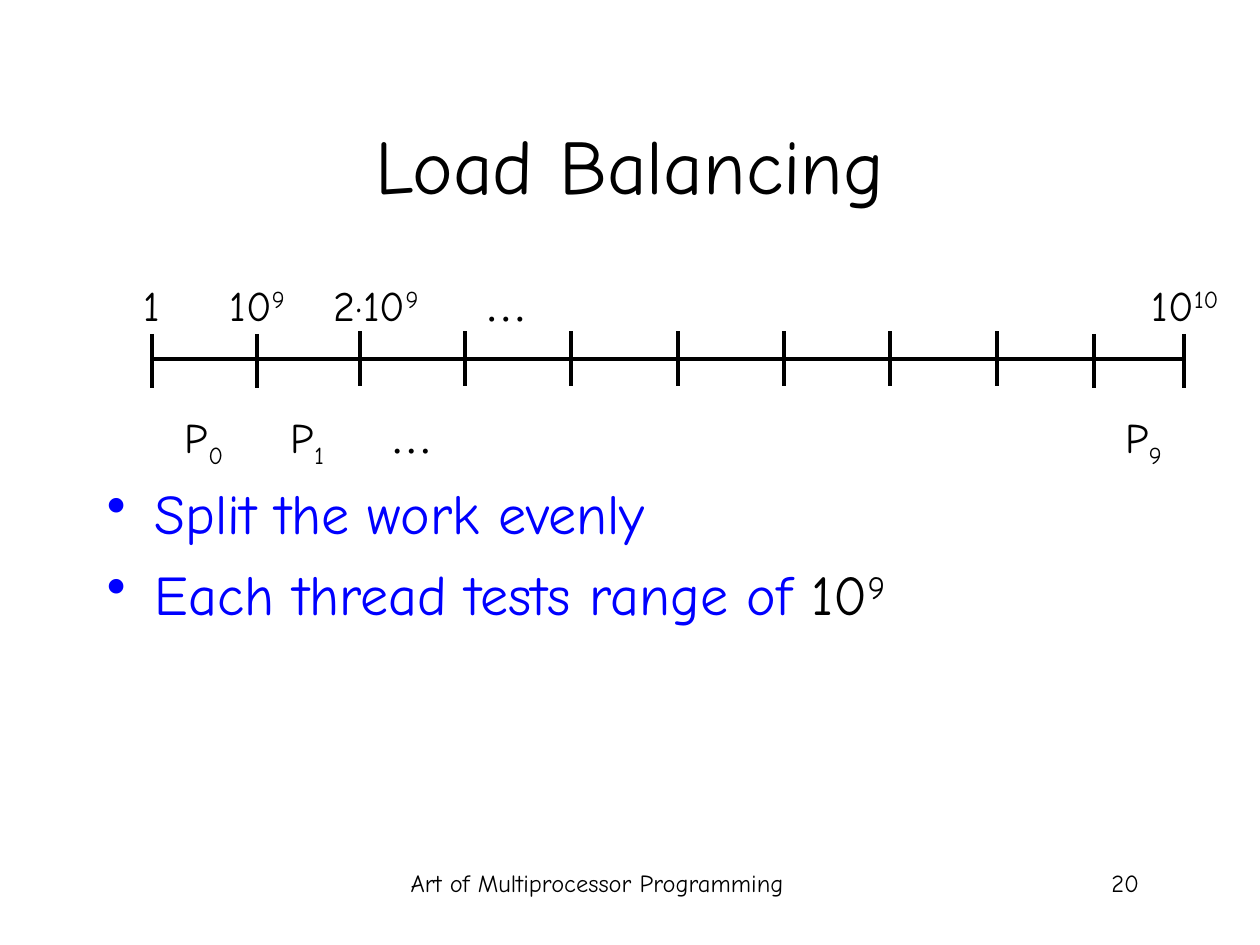
from lxml.etree import SubElement
from pptx import Presentation
from pptx.dml.color import RGBColor
from pptx.enum.shapes import MSO_CONNECTOR as Connector
from pptx.enum.text import MSO_ANCHOR as Anchor, MSO_AUTO_SIZE as AutoSize, PP_ALIGN as Align
from pptx.oxml.ns import qn
from pptx.util import Inches, Pt

COLORS = {"ink": "000000", "point": "0000FF"}
HAND, SERIF = "Comic Neue", "Times New Roman"
SUPER, SUB = 30000, -25000

prs = Presentation()
prs.slide_width, prs.slide_height = Inches(10), Inches(7.5)
slide = prs.slides.add_slide(prs.slide_layouts[6])
# The slide is a grid of 100 columns by 75 rows.
COL, ROW = prs.slide_width / 100, prs.slide_height / 75


def add_text(box, paragraphs, size, align=Align.LEFT, font=HAND, **frame_format):
    """Add a text box; each paragraph is a list of (text, color, baseline) runs."""
    left, top, width, height = box
    frame = slide.shapes.add_textbox(
        int(left * COL), int(top * ROW), int(width * COL), int(height * ROW)).text_frame
    for name, value in {"word_wrap": True, **frame_format}.items():
        setattr(frame, name, value)
    for index, runs in enumerate(paragraphs):
        paragraph = frame.add_paragraph() if index else frame.paragraphs[0]
        paragraph.alignment = align
        for text, color, baseline in runs:
            run = paragraph.add_run()
            run.text = text
            for name, value in {"name": font, "size": Pt(size)}.items():
                setattr(run.font, name, value)
            run.font.color.rgb = RGBColor.from_string(COLORS[color])
            if baseline:
                run._r.get_or_add_rPr().set("baseline", str(baseline))
    return frame


def add_line(x1, y1, x2, y2):
    line = slide.shapes.add_connector(
        Connector.STRAIGHT, int(x1 * COL), int(y1 * ROW), int(x2 * COL), int(y2 * ROW))
    line.line.width = Pt(2.25)
    line.line.color.rgb = RGBColor.from_string(COLORS["ink"])
    SubElement(line._element.spPr, qn("a:effectLst"))


# Footer and title
add_text((26, 68.4, 42.8, 5), [[("Art of Multiprocessor Programming", "ink", 0)]], 14, Align.CENTER)
add_text((70.6, 68.4, 20.8, 5), [[("20", "ink", 0)]], 14, Align.RIGHT)
add_text((7.5, 6.7, 85, 12.5), [[("Load Balancing", "ink", 0)]], 44, Align.CENTER,
         vertical_anchor=Anchor.MIDDLE)

# Bullet points
points = add_text((7.5, 37.5, 85, 29.2), [
    [("Split the work evenly", "point", 0)],
    [("Each thread tests range of ", "point", 0), ("10", "ink", 0), ("9", "ink", SUPER)],
], 32)
for index, point in enumerate(points.paragraphs):
    if index:
        point.space_before = Pt(8)
    properties = point._p.get_or_add_pPr()
    properties.set("marL", str(int(3.8 * COL)))
    properties.set("indent", str(int(-3.8 * COL)))
    bullet_color = SubElement(properties, qn("a:buClr"))
    SubElement(bullet_color, qn("a:srgbClr"), val=COLORS["point"])
    SubElement(properties, qn("a:buChar"), char="•")

# Number line: the ticks near both ends sit slightly lower
ticks = [12.1, 20.4, 28.6, 36.9, 45.3, 53.8, 62.2, 70.6, 79.1, 86.8, 94]
add_line(ticks[0], 28.5, ticks[-1], 28.5)
for index, x in enumerate(ticks):
    top = 26.5 if index in (0, 1, 9, 10) else 26.3
    add_line(x, top, x, top + 4.3)

# Range bounds above the line, threads below it: left, width, text, raised or lowered part
BOUNDS_ROW, THREADS_ROW = 21.7, 32.2
labels = [
    (BOUNDS_ROW, 5, SUPER, [(10.4, 3.3, "1", ""), (17.2, 6.4, "10", "9"),
                            (25.5, 8.7, "2·10", "9"), (90.4, 7.3, "10", "10")]),
    (THREADS_ROW, 5.6, SUB, [(13.5, 5.2, "P", "0"), (22.1, 4.6, "P", "1"), (88.3, 4.9, "P", "9")]),
]
fit = {"word_wrap": False, "auto_size": AutoSize.SHAPE_TO_FIT_TEXT}
for top, height, baseline, row in labels:
    for left, width, base, script in row:
        runs = [(base, "ink", 0)] + ([(script, "ink", baseline)] if script else [])
        add_text((left, top, width, height), [runs], 24, Align.RIGHT, **fit)
for left, top in [(37.5, BOUNDS_ROW), (30, THREADS_ROW)]:
    add_text((left, top, 5.3, 5), [[("…", "ink", 0)]], 24, font=SERIF, **fit)

prs.save("out.pptx")
